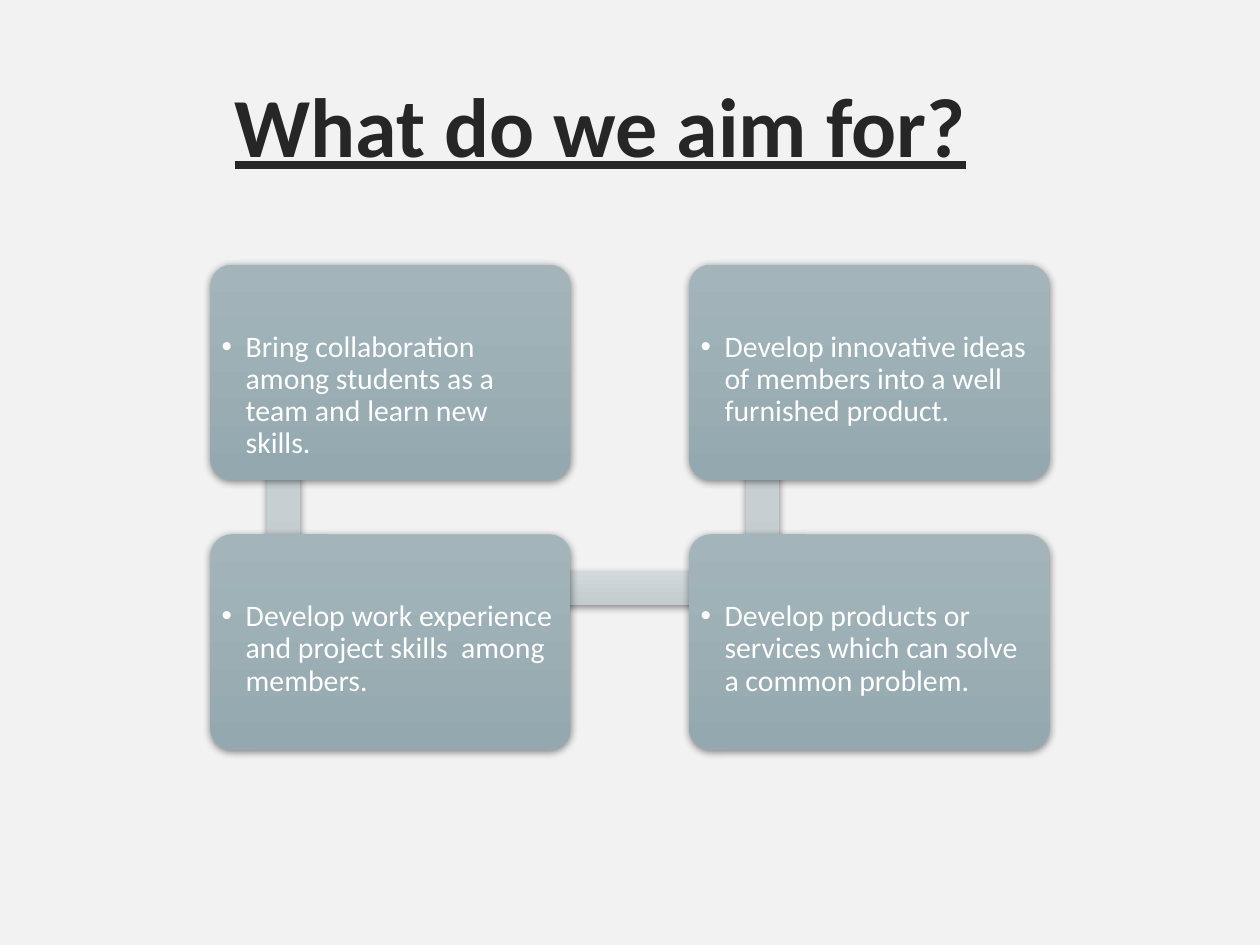
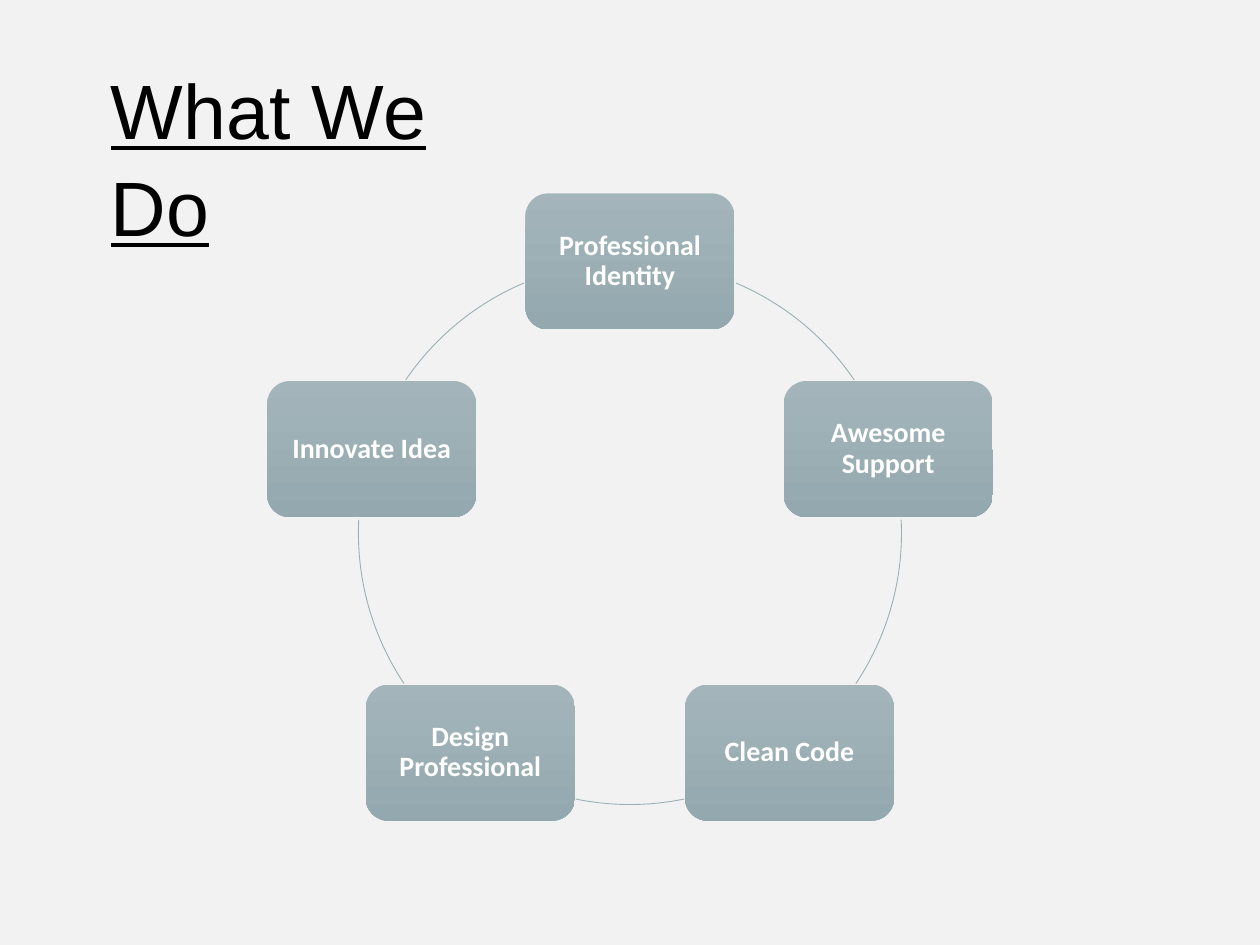
import math

import pptx
import pptx.dml.color
import pptx.enum.shapes
import pptx.enum.text
import pptx.oxml
import pptx.util

FORM = pptx.enum.shapes.MSO_SHAPE
ALIGN = pptx.enum.text.PP_ALIGN
ANCHOR = pptx.enum.text.MSO_ANCHOR
NS = 'xmlns:a="http://schemas.openxmlformats.org/drawingml/2006/main"'
COLORS = {
    "back": "F2F2F2", "ink": "262626", "black": "000000", "white": "FFFFFF",
    "line": "9BAFB5",
    "card": ("A3B5BB", "93A9AF"), "bar": ("D1D9DC", "C2CCCF"),
}


def tint(code):
    return pptx.dml.color.RGBColor.from_string(code)


class Deck:
    """Hold the style and current slide; lengths are cells of a 100 by 75 grid."""

    def __init__(self):
        self.file = pptx.Presentation()
        self.file.slide_width = pptx.util.Inches(10)
        self.file.slide_height = pptx.util.Inches(7.5)
        self.cell = self.file.slide_width / 100
        fill = self.file.slide_master.background.fill
        fill.solid()
        fill.fore_color.rgb = tint(COLORS["back"])

    def span(self, *cells):
        return [round(n * self.cell) for n in cells]

    def page(self):
        self.slide = self.file.slides.add_slide(self.file.slide_layouts[5])

    def style(self, para, size, color, face="Calibri", **marks):
        for run in para.runs:
            font = run.font
            font.size, font.name = pptx.util.Pt(size), face
            font.color.rgb = tint(COLORS[color])
            for mark, state in marks.items():
                setattr(font, mark, state)

    def title(self, text, box, size, color, face, align, space=1, bold=False):
        head = self.slide.shapes.title
        head.left, head.top, head.width, head.height = self.span(*box)
        frame = head.text_frame
        frame.text = text
        frame.word_wrap = True
        frame.auto_size = pptx.enum.text.MSO_AUTO_SIZE.NONE
        frame.vertical_anchor = ANCHOR.TOP
        para = frame.paragraphs[0]
        para.alignment, para.line_spacing = align, space
        self.style(para, size, color, face, bold=bold, underline=True)

    def block(self, form, box, tone, shade=False):
        """Add a shape with a vertical gradient and, if asked, a soft shadow."""
        shape = self.slide.shapes.add_shape(form, *self.span(*box))
        shape.line.fill.background()
        shape.fill.gradient()
        shape.fill.gradient_angle = 270
        for stop, code in zip(shape.fill.gradient_stops, COLORS[tone]):
            stop.color.rgb = tint(code)
        shape.shadow.inherit = False
        if shade:
            glow = pptx.oxml.parse_xml(
                f'<a:outerShdw {NS} blurRad="55880" dist="15240" dir="5400000" '
                'rotWithShape="0"><a:srgbClr val="000000"><a:alpha val="45000"/>'
                '</a:srgbClr></a:outerShdw>')
            shape.element.spPr.find(pptx.oxml.ns.qn("a:effectLst")).append(glow)
        return shape

    def label(self, shape, text, pads, anchor, align):
        """Write one paragraph in a shape; pads are left, top, right, bottom."""
        frame = shape.text_frame
        frame.text = text
        frame.word_wrap = True
        frame.vertical_anchor = anchor
        (frame.margin_left, frame.margin_top,
         frame.margin_right, frame.margin_bottom) = self.span(*pads)
        para = frame.paragraphs[0]
        para.alignment, para.line_spacing = align, 0.9
        return para

    def card(self, text, box):
        shape = self.block(FORM.ROUNDED_RECTANGLE, box, "card", shade=True)
        shape.adjustments[0] = 0.1
        para = self.label(shape, text, (0.4, 4.8, 0.4, 0.4), ANCHOR.TOP, ALIGN.LEFT)
        self.style(para, 17, "white")
        props = para._p.get_or_add_pPr()
        dent = self.span(1.9)[0]
        props.set("marL", str(dent))
        props.set("indent", str(-dent))
        props.append(pptx.oxml.parse_xml(f'<a:buFont {NS} typeface="Arial"/>'))
        props.append(pptx.oxml.parse_xml(f'<a:buChar {NS} char="•"/>'))

    def node(self, text, box):
        shape = self.block(FORM.ROUNDED_RECTANGLE, box, "card")
        para = self.label(shape, text, (0.2,) * 4, ANCHOR.MIDDLE, ALIGN.CENTER)
        self.style(para, 16, "white", bold=True)

    def arc(self, box, start, end):
        """Draw part of a circle, clockwise in degrees from the right."""
        shape = self.slide.shapes.add_shape(FORM.ARC, *self.span(*box))
        shape.adjustments[0], shape.adjustments[1] = start * 0.6, end * 0.6
        shape.fill.background()
        shape.line.color.rgb = tint(COLORS["line"])
        shape.line.width = pptx.util.Pt(0.5)
        shape.shadow.inherit = False


def aims(deck):
    deck.page()
    deck.title("What do we aim for?", (13.8, 5.3, 67.7, 9.1), 48, "ink",
               "Calibri", ALIGN.CENTER, bold=True)
    left, top, wide, high, step, drop = 16.7, 21, 28.6, 17.1, 38, 21.4
    thick = 2.6
    for col in range(2):
        deck.block(FORM.RECTANGLE, (left + col * step + 4.5, 25.3, thick, drop),
                   "bar", shade=True)
    deck.block(FORM.RECTANGLE, (22.6, 45.4, step, thick), "bar", shade=True)
    cards = [
        ["Bring collaboration among students as a team and learn new skills.",
         "Develop innovative ideas of members into a well furnished product."],
        ["Develop work experience and project skills  among members.",
         "Develop products or services which can solve a common problem."],
    ]
    for row, line in enumerate(cards):
        for col, text in enumerate(line):
            deck.card(text, (left + col * step, top + row * drop, wide, high))


def tasks(deck):
    deck.page()
    deck.title("What We Do", (7.8, 4.1, 35.3, 11.4), 44, "black", "Arial",
               ALIGN.LEFT, space=1.05)
    mid_x, mid_y, ray = 50, 42.3, 21.55
    wide, high = 16.6, 10.8
    ring = (mid_x - ray, mid_y - ray, 2 * ray, 2 * ray)
    names = ["Professional Identity", "Awesome Support", "Clean Code",
             "Design Professional", "Innovate Idea"]
    arcs = [(293, 325.7), (357.2, 33.7), (78.5, 101.5), (146.3, 182.8),
            (214.3, 247)]
    for k, (name, ends) in enumerate(zip(names, arcs)):
        turn = math.tau * k / len(names)
        x = mid_x + ray * math.sin(turn)
        y = mid_y - ray * math.cos(turn)
        deck.node(name, (x - wide / 2, y - high / 2, wide, high))
        deck.arc(ring, *ends)


def main():
    deck = Deck()
    aims(deck)
    tasks(deck)
    deck.file.save("out.pptx")


if __name__ == "__main__":
    main()
